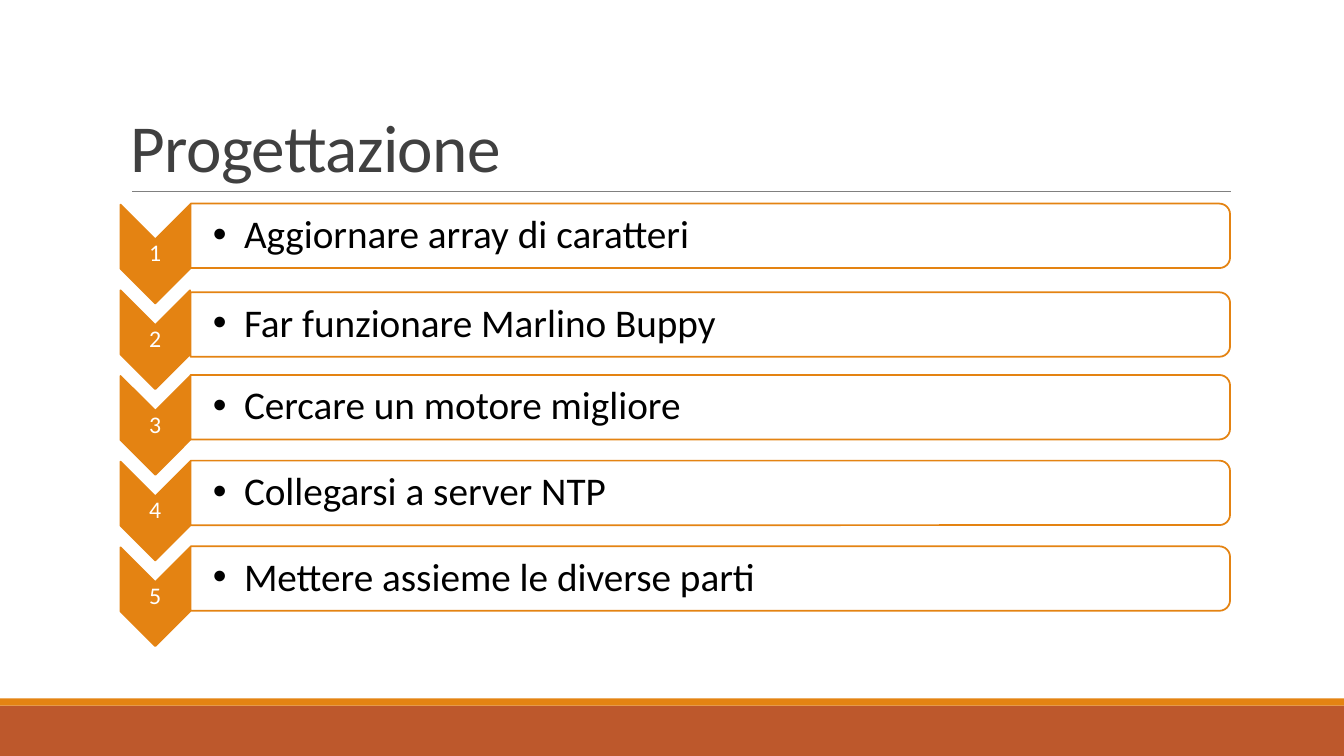
import pptx
import pptx.dml.color
import pptx.enum.shapes
import pptx.enum.text
import pptx.oxml.ns
import pptx.util
from lxml import etree

# Content
TITLE = "Progettazione"
STEPS = [
    "Aggiornare array di caratteri",
    "Far funzionare Marlino Buppy",
    "Cercare un motore migliore",
    "Collegarsi a server NTP",
    "Mettere assieme le diverse parti",
]

# Style
FONT = "Calibri"
COLORS = {
    "accent": "E48312", "footer": "BD582C", "rule": "808080",
    "title": "404040", "text": "000000", "paper": "FFFFFF",
}

# Layout in inches
WIDTH, HEIGHT = 13.33, 7.5
FOOTER_HEIGHT, STRIPE_HEIGHT = 0.5, 0.07
RULE_LEFT, RULE_RIGHT, RULE_TOP = 1.31, 12.21, 1.9
ROW_PITCH = 0.85
CHEVRON_CENTER_X, FIRST_CHEVRON_Y = 1.54, 2.52
CHEVRON_LENGTH, CHEVRON_WIDTH = 0.98, 0.69
BAR_LEFT, BAR_LENGTH, BAR_HEIGHT = 1.89, 10.31, 0.64
BAR_RISE = 0.18
BAR_NUDGES = {1: 0.03}
INDENT = 0.31

SHAPES = pptx.enum.shapes.MSO_SHAPE
ALIGN = pptx.enum.text.PP_ALIGN
ANCHOR = pptx.enum.text.MSO_ANCHOR
inches = pptx.util.Inches
qn = pptx.oxml.ns.qn


def rgb(name):
    return pptx.dml.color.RGBColor.from_string(COLORS[name])


def add_shape(slide, kind, left, top, width, height, fill, line=None):
    shape = slide.shapes.add_shape(kind, *map(inches, (left, top, width, height)))
    shape.shadow.inherit = False
    shape.fill.solid()
    shape.fill.fore_color.rgb = rgb(fill)
    if line:
        shape.line.color.rgb = rgb(line)
        shape.line.width = pptx.util.Pt(1.25)
    else:
        shape.line.fill.background()
    return shape


def add_turned_shape(slide, kind, center_x, center_y, length, breadth, fill):
    shape = add_shape(slide, kind, center_x - length / 2, center_y - breadth / 2,
                      length, breadth, fill, "accent")
    shape.rotation = 90
    return shape


def add_text(slide, box, text, size, color, insets, anchor=ANCHOR.MIDDLE,
             align=ALIGN.LEFT, spacing=0.9):
    frame = slide.shapes.add_textbox(*map(inches, box)).text_frame
    frame.word_wrap = True
    frame.vertical_anchor = anchor
    (frame.margin_left, frame.margin_top,
     frame.margin_right, frame.margin_bottom) = map(inches, insets)
    frame.text = text
    paragraph = frame.paragraphs[0]
    paragraph.alignment = align
    paragraph.line_spacing = spacing
    font = paragraph.runs[0].font
    font.name, font.size = FONT, pptx.util.Pt(size)
    font.color.rgb = rgb(color)
    return paragraph


def add_bullet(paragraph):
    properties = paragraph._p.get_or_add_pPr()
    properties.set("marL", str(inches(INDENT)))
    properties.set("indent", str(-inches(INDENT)))
    etree.SubElement(properties, qn("a:buFont"), typeface="Arial")
    etree.SubElement(properties, qn("a:buChar"), char="•")


def add_frame(slide):
    # Footer bands
    footer_top = HEIGHT - FOOTER_HEIGHT
    add_shape(slide, SHAPES.RECTANGLE, 0, footer_top, WIDTH, FOOTER_HEIGHT, "footer")
    add_shape(slide, SHAPES.RECTANGLE, 0, footer_top - STRIPE_HEIGHT,
              WIDTH, STRIPE_HEIGHT, "accent")

    # Rule under the title
    rule = slide.shapes.add_connector(
        pptx.enum.shapes.MSO_CONNECTOR.STRAIGHT,
        *map(inches, (RULE_LEFT, RULE_TOP, RULE_RIGHT, RULE_TOP)))
    rule.line.color.rgb = rgb("rule")
    rule.line.width = pptx.util.Pt(0.5)
    etree.SubElement(rule._element.spPr, qn("a:effectLst"))

    # Title
    title = add_text(slide, (1.2, 0.31, 11, 1.59), TITLE, 48, "title",
                     (0.1, 0.05, 0.1, 0.05), ANCHOR.BOTTOM, spacing=0.85)
    title.runs[0]._r.get_or_add_rPr().set("spc", "-50")


def add_step(slide, index, step):
    chevron_y = FIRST_CHEVRON_Y + index * ROW_PITCH
    bar_y = chevron_y - BAR_RISE + BAR_NUDGES.get(index, 0)

    # Numbered chevron
    add_turned_shape(slide, SHAPES.CHEVRON, CHEVRON_CENTER_X, chevron_y,
                     CHEVRON_LENGTH, CHEVRON_WIDTH, "accent")
    add_text(slide, (CHEVRON_CENTER_X - CHEVRON_WIDTH / 2, chevron_y - 0.15,
                     CHEVRON_WIDTH, 0.3),
             str(index + 1), 17, "paper", (0.01,) * 4, align=ALIGN.CENTER)

    # Bar with its bullet
    bar = add_turned_shape(slide, SHAPES.ROUND_2_SAME_RECTANGLE,
                           BAR_LEFT + BAR_LENGTH / 2, bar_y,
                           BAR_HEIGHT, BAR_LENGTH, "paper")
    fill_color = bar._element.spPr.find(qn("a:solidFill"))[0]
    etree.SubElement(fill_color, qn("a:alpha"), val="90000")
    add_bullet(add_text(slide, (BAR_LEFT, bar_y - 0.29, 10.28, 0.58), step,
                        28, "text", (0.22, 0.02, 0.02, 0.02)))


def main():
    presentation = pptx.Presentation()
    presentation.slide_width = inches(WIDTH)
    presentation.slide_height = inches(HEIGHT)
    slide = presentation.slides.add_slide(presentation.slide_layouts[6])
    add_frame(slide)
    for index, step in enumerate(STEPS):
        add_step(slide, index, step)
    presentation.save("out.pptx")


if __name__ == "__main__":
    main()
